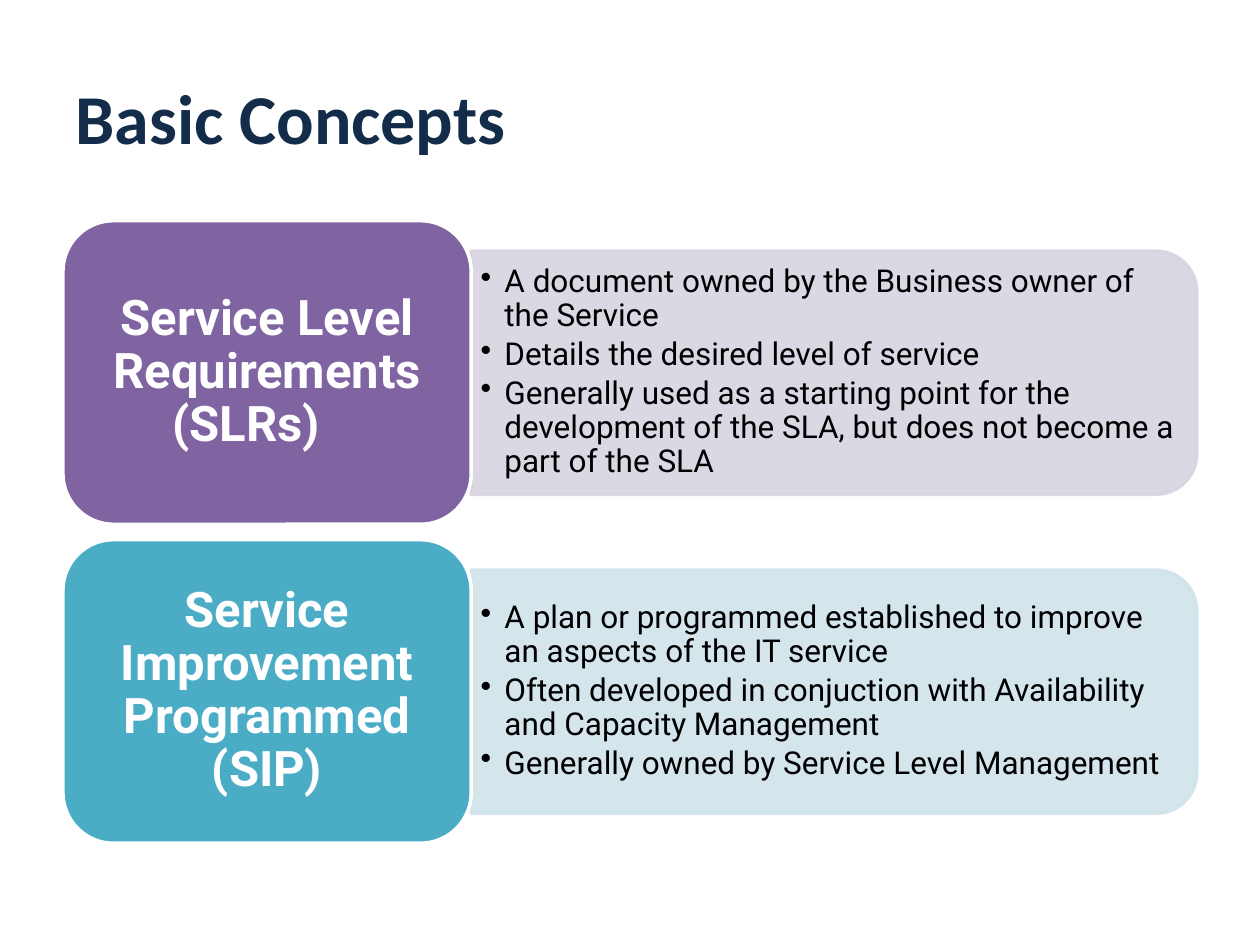
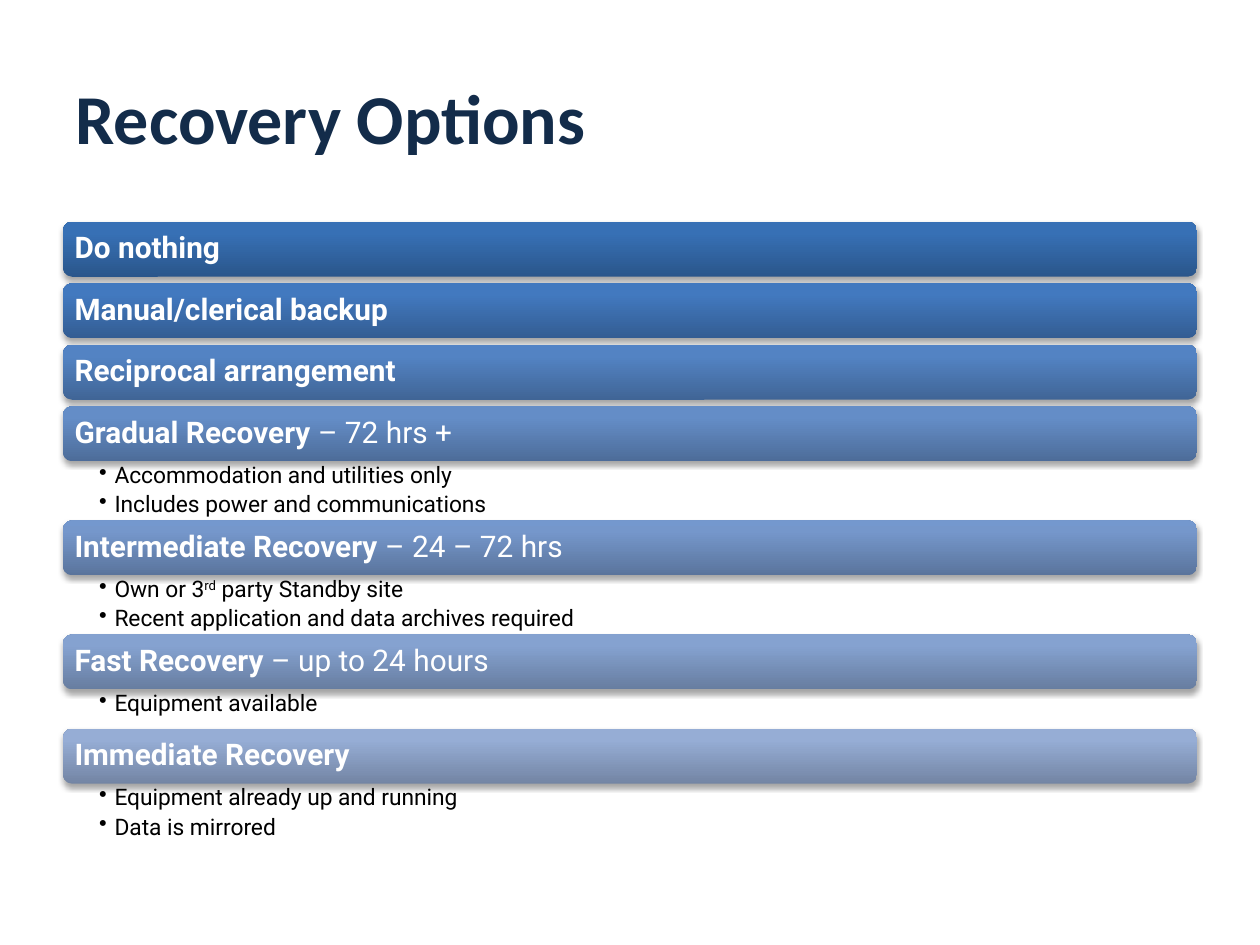
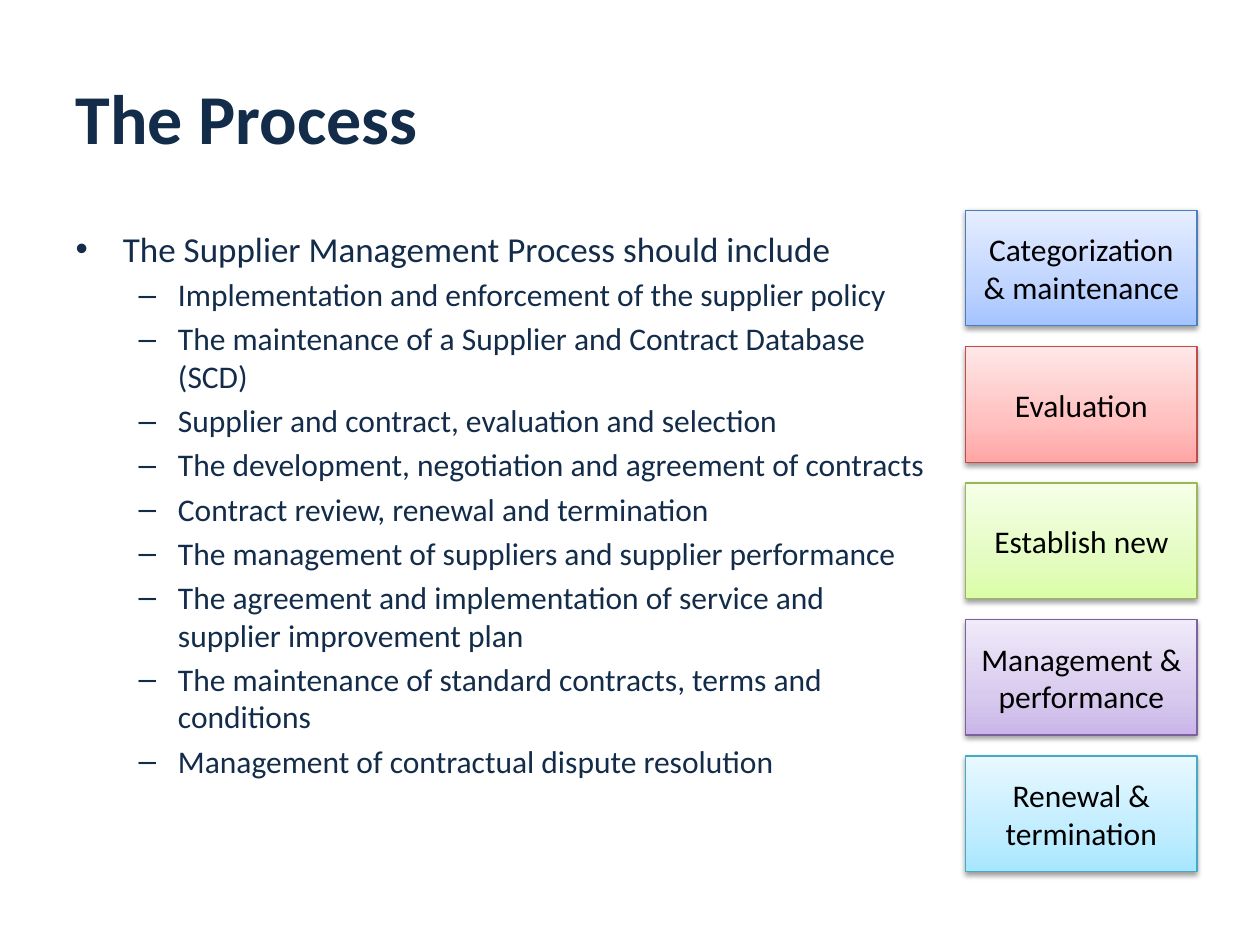
import lxml.etree
import pptx
import pptx.dml.color
import pptx.enum.shapes
import pptx.enum.text
import pptx.oxml.ns
import pptx.util

Cm, Pt = pptx.util.Cm, pptx.util.Pt
RGB = pptx.dml.color.RGBColor
qn = pptx.oxml.ns.qn
add = lxml.etree.SubElement
KIND = pptx.enum.shapes.MSO_SHAPE
ALIGN = pptx.enum.text.PP_ALIGN
ANCHOR = pptx.enum.text.MSO_ANCHOR

NAVY = RGB(0x13, 0x2C, 0x4A)
BLACK = RGB(0, 0, 0)
WHITE = RGB(255, 255, 255)
PURPLE = RGB(0x80, 0x64, 0xA2)
LILAC = RGB(0xD8, 0xD3, 0xE0)
TEAL = RGB(0x4B, 0xAC, 0xC6)
MIST = RGB(0xD0, 0xE3, 0xEA)
BLUES = [
    [RGB(0x2A, 0x56, 0x8B), RGB(0x37, 0x70, 0xB5), RGB(0x35, 0x70, 0xB8)],
    [RGB(0x33, 0x5D, 0x93), RGB(0x42, 0x79, 0xBF), RGB(0x40, 0x79, 0xC2)],
    [RGB(0x40, 0x65, 0x96), RGB(0x53, 0x83, 0xC3), RGB(0x52, 0x83, 0xC6)],
    [RGB(0x4D, 0x6C, 0x99), RGB(0x64, 0x8D, 0xC7), RGB(0x63, 0x8D, 0xCA)],
    [RGB(0x5A, 0x74, 0x9C), RGB(0x75, 0x97, 0xCB), RGB(0x74, 0x98, 0xCE)],
    [RGB(0x67, 0x7D, 0xA0), RGB(0x85, 0xA2, 0xD0), RGB(0x85, 0xA2, 0xD2)],
    [RGB(0x73, 0x85, 0xA4), RGB(0x96, 0xAD, 0xD5), RGB(0x95, 0xAD, 0xD7)],
]
SKY = [RGB(0xA4, 0xC4, 0xFF), RGB(0xBF, 0xD4, 0xFF), RGB(0xE6, 0xEE, 0xFF)]
ROSE = [RGB(0xFF, 0xA6, 0xA5), RGB(0xFF, 0xC0, 0xBF), RGB(0xFF, 0xE7, 0xE7)]
LIME = [RGB(0xDA, 0xFD, 0xA7), RGB(0xE4, 0xFC, 0xC2), RGB(0xF5, 0xFF, 0xE7)]
MAUVE = [RGB(0xC9, 0xB5, 0xE8), RGB(0xD8, 0xCB, 0xEE), RGB(0xF0, 0xEA, 0xF9)]
AQUA = [RGB(0xA7, 0xE6, 0xFF), RGB(0xC1, 0xED, 0xFF), RGB(0xE7, 0xF8, 0xFF)]
EDGES = [RGB(0x4B, 0x7E, 0xBC), RGB(0xBF, 0x4C, 0x48), RGB(0x98, 0xB9, 0x55),
         RGB(0x7D, 0x60, 0xA0), RGB(0x46, 0xAA, 0xC5)]

LEFT, WIDE = 1.27, 22.86


def write(frame, paras, size, color, font="Calibri", bold=False, align=None,
          anchor=None, inset=None, line=None, after=None, hang=None, level=0):
    """Add paragraphs; each is a text or a list of texts and (text, mark) pairs."""
    frame.word_wrap = True
    if anchor is not None:
        frame.vertical_anchor = anchor
    if inset:
        (frame.margin_left, frame.margin_top,
         frame.margin_right, frame.margin_bottom) = [Cm(side) for side in inset]
    for para in paras:
        item = frame.add_paragraph() if frame.text else frame.paragraphs[0]
        item.level = level
        item.alignment = align
        item.line_spacing = line
        if after:
            item.space_after = Pt(round(size * after, 1))
        if hang:
            props = item._p.get_or_add_pPr()
            props.set("marL", str(Cm(hang)))
            props.set("indent", str(-Cm(hang)))
            add(props, qn("a:buChar"), char="•")
        for part in [para] if isinstance(para, str) else para:
            text, mark = (part, "") if isinstance(part, str) else part
            run = item.add_run()
            run.text = text
            run.font.name = font
            run.font.size = Pt(size)
            run.font.bold = bold and mark != "plain"
            run.font.color.rgb = color
            if mark == "super":
                run._r.get_or_add_rPr().set("baseline", "33000")


def draw(slide, kind, place, fill, edge=None, weight=2, stops=None, shade=None):
    """Add a shape; stops make fill a gradient, shade is (opacity, distance)."""
    shape = slide.shapes.add_shape(kind, *[Cm(side) for side in place])
    shape.shadow.inherit = False
    props = shape._element.spPr
    if stops:
        shape.fill.gradient()
        shape.fill.gradient_angle = 90
        ramp = props.find(".//" + qn("a:gsLst"))
        ramp.clear()
        for stop, color in zip(stops, fill):
            mark = add(ramp, qn("a:gs"), pos=str(stop * 1000))
            add(mark, qn("a:srgbClr"), val=str(color))
    else:
        shape.fill.solid()
        shape.fill.fore_color.rgb = fill
    if edge is None:
        shape.line.fill.background()
    else:
        shape.line.color.rgb = edge
        shape.line.width = Pt(weight)
    if shade:
        depth, drop = shade
        cast = add(props.find(qn("a:effectLst")), qn("a:outerShdw"),
                   blurRad=str(Pt(3.1)), dist=str(Pt(drop)),
                   dir="5400000", rotWithShape="0")
        tint = add(cast, qn("a:srgbClr"), val=str(BLACK))
        add(tint, qn("a:alpha"), val=str(depth * 1000))
    return shape


deck = pptx.Presentation()
deck.slide_width, deck.slide_height = Cm(25.4), Cm(19.05)

slides = []
for title, layout in [("Basic Concepts", 5), ("Recovery Options", 5), ("The Process", 1)]:
    slide = deck.slides.add_slide(deck.slide_layouts[layout])
    head = slide.shapes.title
    head.left, head.top, head.width, head.height = Cm(LEFT), Cm(0.76), Cm(WIDE), Cm(3.18)
    write(head.text_frame, [title], 40, NAVY, bold=True, align=ALIGN.LEFT,
          anchor=ANCHOR.MIDDLE)
    slides.append(slide)
basic, options, process = slides

# Basic Concepts: a name card with a panel of points beside it
concepts = [
    ("Service Level Requirements (SLRs)\t", PURPLE, LILAC, [
        "A document owned by the Business owner of the Service",
        "Details the desired level of service",
        "Generally used as a starting point for the development of the SLA, "
        "but does not become a part of the SLA"]),
    ("Service Improvement Programmed (SIP)", TEAL, MIST, [
        "A plan or programmed established to improve an aspects of the IT service",
        "Often developed in conjuction with Availability and Capacity Management",
        "Generally owned by Service Level Management"]),
]
for i, (name, dark, light, points) in enumerate(concepts):
    top = 4.45 + i * 6.43
    panel = draw(basic, KIND.ROUND_2_SAME_RECTANGLE,
                 (14.36, top - 4.25, 4.9, 14.63), light, light)
    panel.rotation = 90
    for tint in panel._element.spPr.iter(qn("a:srgbClr")):
        add(tint, qn("a:alpha"), val="90000")
    box = basic.shapes.add_textbox(Cm(9.5), Cm(top + 0.85), Cm(14.4), Cm(4.42))
    write(box.text_frame, points, 18, BLACK, font="Roboto", anchor=ANCHOR.MIDDLE,
          inset=(0.19, 0.1, 0.19, 0.1), line=0.9, after=0.15, hang=0.48)
    card = draw(basic, KIND.ROUNDED_RECTANGLE, (LEFT, top, 8.23, 6.12), dark, WHITE)
    write(card.text_frame, [name], 28, WHITE, font="Roboto", bold=True,
          align=ALIGN.CENTER, anchor=ANCHOR.MIDDLE, inset=(0.3, 0.15, 0.3, 0.15),
          line=0.9, after=0.35)

# Recovery Options: stacked bars, some followed by a list
recovery = [
    ("Do nothing", []),
    ("Manual/clerical backup", []),
    ("Reciprocal arrangement", []),
    (["Gradual Recovery ", ("– 72 hrs +", "plain")],
     ["Accommodation and utilities only", "Includes power and communications"]),
    (["Intermediate Recovery ", ("– 24 – 72 hrs", "plain")],
     [["Own or 3", ("rd", "super"), " party Standby site"],
      "Recent application and data archives required"]),
    (["Fast Recovery ", ("– up to 24 hours", "plain")], ["Equipment available"]),
    ("Immediate Recovery", ["Equipment already up and running", "Data is mirrored"]),
]
top, tall, gap = 4.47, 1.11, 0.13
for (name, points), blues in zip(recovery, BLUES):
    bar = draw(options, KIND.ROUNDED_RECTANGLE, (LEFT, top, WIDE, tall), blues,
               stops=(0, 80, 100), shade=(35, 1.8))
    write(bar.text_frame, [name], 17, WHITE, font="Roboto", bold=True,
          align=ALIGN.LEFT, anchor=ANCHOR.MIDDLE, inset=[0.18] * 4, line=0.9)
    top += tall
    if points:
        room = 0.39 + 0.4 * len(points)
        box = options.shapes.add_textbox(Cm(LEFT), Cm(top), Cm(WIDE), Cm(room))
        write(box.text_frame, points, 13, BLACK, font="Roboto",
              inset=(0.73, 0.05, 0.33, 0.05), line=0.9, after=0.2, hang=0.31)
        top += room
    else:
        top += gap

# The Process: list on the left, column of stages on the right
body = process.placeholders[1]
body.left, body.top, body.width, body.height = Cm(LEFT), Cm(4.45), Cm(17.78), Cm(12.57)
write(body.text_frame, ["The Supplier Management Process should include"], 20, NAVY)
write(body.text_frame, [
    "Implementation and enforcement of the supplier policy",
    "The maintenance of a Supplier and Contract Database (SCD)",
    "Supplier and contract, evaluation and selection",
    "The development, negotiation and agreement of contracts",
    "Contract review, renewal and termination",
    "The management of suppliers and supplier performance",
    "The agreement and implementation of service and supplier improvement plan",
    "The maintenance of standard contracts, terms and conditions",
    "Management of contractual dispute resolution",
], 18, NAVY, level=1)

stages = ["Categorization & maintenance", "Evaluation", "Establish new",
          "Management & performance", "Renewal & termination"]
ramps = [SKY, ROSE, LIME, MAUVE, AQUA]
for i, (stage, ramp, edge) in enumerate(zip(stages, ramps, EDGES)):
    tile = draw(process, KIND.RECTANGLE, (19.47, 4.24 + i * 2.75, 4.66, 2.33), ramp,
                edge, 0.75, stops=(0, 35, 100), shade=(38, 1.6))
    write(tile.text_frame, [stage], 18, BLACK, align=ALIGN.CENTER, anchor=ANCHOR.MIDDLE)

deck.save("out.pptx")
